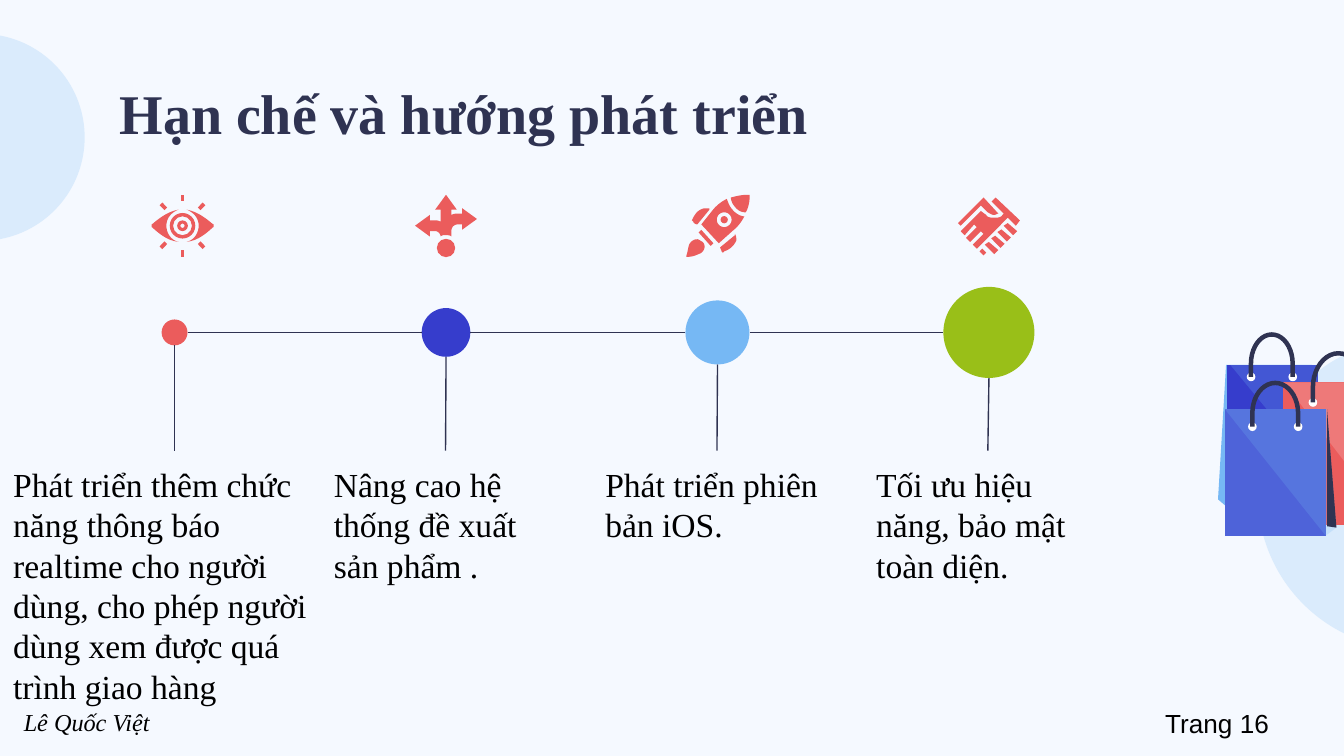
import pptx
import pptx.util
import pptx.dml.color
import pptx.enum.shapes
import pptx.enum.text
import pptx.oxml.ns
from lxml import etree
from pptx.util import Cm, Pt

COLORS = {
    "background": "F5F9FF", "ink": "2F3352", "black": "000000", "white": "FFFFFF",
    "red": "EB5C5C", "blue": "363DCC", "sky": "76B8F4", "green": "99BF18", "violet": "4E63D9",
}
SERIF, SANS = "Times New Roman", "Arial"
SHAPE = pptx.enum.shapes.MSO_SHAPE

ICON_UNITS = 46   # icons are drawn on a 46 x 46 grid
BAG_UNITS = 140   # the bags are drawn on a grid 140 wide


def rgb(name):
    return pptx.dml.color.RGBColor.from_string(COLORS[name])


def paint(shape, color, opacity=100):
    shape.shadow.inherit = False
    shape.line.fill.background()
    shape.fill.solid()
    shape.fill.fore_color.rgb = rgb(color)
    if opacity < 100:
        srgb = shape.fill._xPr.find(".//" + pptx.oxml.ns.qn("a:srgbClr"))
        etree.SubElement(srgb, pptx.oxml.ns.qn("a:alpha"), val=str(opacity * 1000))


def write(shape, text, size, font=SERIF, color="black", bold=False, italic=False, inset=0.25):
    frame = shape.text_frame
    frame.text = text
    frame.word_wrap = True
    frame.auto_size = pptx.enum.text.MSO_AUTO_SIZE.NONE
    frame.vertical_anchor = pptx.enum.text.MSO_ANCHOR.TOP
    frame.margin_left = frame.margin_right = Cm(0.25)
    frame.margin_top = frame.margin_bottom = Cm(inset)
    frame.paragraphs[0].alignment = pptx.enum.text.PP_ALIGN.LEFT
    style = frame.paragraphs[0].runs[0].font
    style.name, style.size, style.bold, style.italic = font, Pt(size), bold, italic
    style.color.rgb = rgb(color)


def add_line(shapes, x1, y1, x2, y2):
    line = shapes.add_connector(pptx.enum.shapes.MSO_CONNECTOR.STRAIGHT, Cm(x1), Cm(y1), Cm(x2), Cm(y2))
    line.line.color.rgb = rgb("ink")
    line.line.width = Pt(0.75)
    etree.SubElement(line._element.spPr, pptx.oxml.ns.qn("a:effectLst"))


class Canvas:
    """Draws in grid units inside a box whose left, top and width are in cm."""

    def __init__(self, shapes, left, top, width, units):
        self.shapes, self.left, self.top = shapes, Cm(left), Cm(top)
        self.unit = Cm(width) / units

    def place(self, x, y):
        return round(self.left + x * self.unit), round(self.top + y * self.unit)

    def trace(self, contour):
        """Pairs are corners; six numbers are a Bezier curve from the last point."""
        points = []
        for step in contour:
            if len(step) == 2:
                points.append(step)
                continue
            (x0, y0), (x1, y1, x2, y2, x3, y3) = points[-1], step
            for t in (k / 10 for k in range(1, 11)):
                a, b, c, d = (1 - t) ** 3, 3 * t * (1 - t) ** 2, 3 * t * t * (1 - t), t ** 3
                points.append((a * x0 + b * x1 + c * x2 + d * x3, a * y0 + b * y1 + c * y2 + d * y3))
        return [self.place(*point) for point in points]

    def outline(self, *contours, close=True):
        traces = [self.trace(contour) for contour in contours]
        builder = self.shapes.build_freeform(*traces[0][0], scale=1.0)
        for number, points in enumerate(traces):
            if number:
                builder.move_to(*points[0])
            builder.add_line_segments(points[1:], close=close)
        return builder.convert_to_shape()

    def area(self, color, *contours, opacity=100):
        paint(self.outline(*contours), color, opacity)

    def stroke(self, color, width, contour):
        shape = self.outline(contour, close=False)
        shape.shadow.inherit = False
        shape.fill.background()
        shape.line.color.rgb = rgb(color)
        shape.line.width = Pt(width)

    def disc(self, color, x, y, radius, hole=0):
        size = round(2 * radius * self.unit)
        kind = SHAPE.DONUT if hole else SHAPE.OVAL
        shape = self.shapes.add_shape(kind, *self.place(x - radius, y - radius), size, size)
        if hole:
            shape.adjustments[0] = (radius - hole) / (2 * radius)
        paint(shape, color)


def mirror(contour, axis):
    return [tuple(ICON_UNITS - v if k % 2 == axis else v for k, v in enumerate(step)) for step in contour]


def circle(x, y, r):
    k = 0.55 * r
    return [(x, y - r), (x + k, y - r, x + r, y - k, x + r, y), (x + r, y + k, x + k, y + r, x, y + r),
            (x - k, y + r, x - r, y + k, x - r, y), (x - r, y - k, x - k, y - r, x, y - r)]


def draw_eye(canvas):
    canvas.disc("red", 23, 23, 9.5, hole=7)
    canvas.disc("red", 23, 23, 4, hole=1.6)
    lid = [(20, 11), (9, 13, 1, 22, 0, 22), (0, 24), (1, 24, 9, 34, 20, 35),
           (15, 34, 11, 29, 11, 23), (11, 17, 15, 13, 20, 11)]
    bar = [(21.6, 0), (21.6, 5), (24.4, 5), (24.4, 0)]
    ray = [(8, 5.7), (6, 7.7), (9.6, 11.4), (11.6, 9.4)]
    for part in (lid, mirror(lid, 0), bar, mirror(bar, 1)):
        canvas.area("red", part)
    for part in (ray, mirror(ray, 0)):
        canvas.area("red", part)
        canvas.area("red", mirror(part, 1))


def draw_arrows(canvas):
    canvas.disc("red", 23, 39.5, 6.8)
    canvas.area("red", [
        (23, 0), (15, 11), (19, 11), (19, 20), (17, 19, 16, 19, 15, 19), (11, 19), (11, 15), (0, 23),
        (11, 31), (11, 27), (15, 27), (17, 27, 19, 29, 19, 31), (20, 30, 21, 30, 23, 30),
        (24, 30, 26, 30, 27, 31), (27, 27), (27, 24, 29, 22, 32, 22), (35, 22), (35, 26), (46, 18),
        (35, 10), (35, 14), (32, 14), (30, 14, 29, 14, 27, 15), (27, 11), (31, 11)])


def draw_rocket(canvas):
    flame = [(8, 33), (5, 33, 3, 35, 2, 37), (1, 40, 1, 42, 0, 45), (0, 46), (2, 46),
             (4, 46, 7, 45, 9, 44), (13, 43, 15, 38, 12, 35), (10, 34, 9, 33, 8, 33)]
    base = [(11, 26), (9, 28), (18, 38), (20, 36)]
    nose = [(45, 0), (41, 0, 37, 1, 33, 2), (33, 5, 35, 8, 37, 10), (39, 12, 41, 13, 44, 13),
            (46, 10, 47, 5, 47, 1), (47, 0)]
    body = [(30, 3), (26, 5, 22, 8, 19, 12), (11, 22), (24, 36), (34, 27), (38, 24, 41, 20, 43, 16),
            (40, 16, 37, 14, 35, 12), (32, 9, 31, 6, 30, 3)]
    lower_fin = [(36, 29), (36, 30), (25, 39), (25, 40, 26, 41, 26, 42), (27, 43), (28, 42),
                 (34, 40, 36, 36, 37, 34), (37, 32, 37, 31, 36, 29)]
    upper_fin = [(13, 10), (10, 11, 7, 12, 4, 19), (5, 20), (5, 21, 7, 22, 8, 22), (17, 11), (17, 10)]
    for part in (flame, base, nose, lower_fin, upper_fin):
        canvas.area("red", part)
    canvas.area("red", body, circle(28, 18.5, 5.5))
    canvas.disc("red", 28, 18.5, 2.7)


def draw_handshake(canvas):
    for k in range(4):
        shift = 4.67 * k
        canvas.area("red", [(x - shift, y + shift) for x, y in ((37, 21), (34, 23), (41, 30), (44, 27))])
    canvas.area("red", [
        (28, 2), (25, 5), (34, 14), (33, 15), (32, 17, 29, 17, 27, 17), (25, 17, 22, 17, 21, 15),
        (17, 12), (2, 27), (5, 30), (12, 22), (14, 24), (6, 32), (9, 35), (17, 27), (19, 29),
        (11, 37), (14, 40), (37, 17), (43, 23), (46, 19)])
    canvas.area("red", [(19, 2), (0, 21), (2, 23), (17, 8), (22, 13), (24, 14, 25, 15, 27, 15),
                        (28, 15, 29, 14, 30, 14)])
    canvas.area("red", [(18, 40), (16, 42), (19, 45), (21, 43)])


def draw_bag(canvas, front, color, shine, shine_color, opacity, handle, eyelets):
    left, top, right, bottom = front
    canvas.area(color, [(left, top), (left, bottom), (right, bottom), (right, top)])
    canvas.area(shine_color, shine, opacity=opacity)
    start, peak, end, foot, shoulder = handle
    for x in eyelets:
        canvas.disc("white", x, foot, 3.2)
    middle, bend = (start + end) / 2, 0.45 * (shoulder - peak)
    reach = 0.55 * (end - start) / 2
    canvas.stroke("ink", 2.4, [
        (start, foot), (start, shoulder), (start, peak + bend, middle - reach, peak, middle, peak),
        (middle + reach, peak, end, peak + bend, end, shoulder), (end, foot)])


def draw_bags(shapes, left, top, width):
    canvas = Canvas(shapes, left, top, width, BAG_UNITS)
    canvas.area("sky", [(6, 24), (0, 124), (7, 130), (70, 124), (70, 24)])
    draw_bag(canvas, (7, 24, 74, 130), "blue", [(9, 24), (74, 103), (74, 24)], "sky", 21,
             (24.5, 1.5, 55.5, 33, 23), (24.5, 55.5))
    draw_bag(canvas, (48, 37, 131, 143), "red", [(49, 37), (130, 143), (131, 143), (140, 136), (131, 37)],
             "white", 18, (70.5, 15.5, 108.5, 52, 41), (70.5,))
    draw_bag(canvas, (5, 57, 80, 151), "violet", [(5, 57), (80, 151), (88, 145), (81, 57)], "sky", 21,
             (25.5, 37.5, 59.5, 70, 60), (25.5, 59.5))
    canvas.area("ink", [(81, 57), (81, 144), (88, 145)])


def draw_timeline(shapes, left, axis, pitch):
    text_top, icon_top, icon_size = 8.51, 3.68, 1.17
    # node diameter, node colour, icon, icon offset, text left, text width, text height, text
    steps = [
        (0.49, "red", draw_eye, 0.15, 0, 6.6, 4.8,
         "Phát triển thêm chức năng thông báo realtime cho người dùng, "
         "cho phép người dùng xem được quá trình giao hàng"),
        (0.92, "blue", draw_arrows, 0, 6.06, 4.72, 1.98, "Nâng cao hệ thống đề xuất sản phẩm ."),
        (1.21, "sky", draw_rocket, 0, 11.19, 4.72, 1.98, "Phát triển phiên bản iOS."),
        (1.72, "green", draw_handshake, 0, 16.31, 4.72, 1.98, "Tối ưu hiệu năng, bảo mật toàn diện."),
    ]
    previous_edge = None
    for number, (size, color, draw_icon, offset, text_left, width, height, text) in enumerate(steps):
        center, radius = left + number * pitch, size / 2
        node = shapes.add_shape(SHAPE.OVAL, Cm(center - radius), Cm(axis - radius), Cm(size), Cm(size))
        paint(node, color)
        if previous_edge is not None:
            add_line(shapes, previous_edge, axis, center - radius, axis)
        previous_edge = center + radius
        add_line(shapes, center, axis + radius, text_left + width / 2, text_top)
        write(shapes.add_textbox(Cm(text_left), Cm(text_top), Cm(width), Cm(height)), text, 18)
        draw_icon(Canvas(shapes, center + offset - icon_size / 2, icon_top, icon_size, ICON_UNITS))


def draw_backdrop(shapes):
    for left, top, size in ((23.77, 6.4, 5.87), (-2.31, 0.64, 3.91)):
        paint(shapes.add_shape(SHAPE.OVAL, Cm(left), Cm(top), Cm(size), Cm(size)), "sky", 21)


def draw_footer(shapes, top):
    write(shapes.add_textbox(Cm(21.77), Cm(top), Cm(3.05), Cm(0.86)), "Trang 16", 14, font=SANS, inset=0.13)
    write(shapes.add_textbox(Cm(0.2), Cm(top), Cm(5.05), Cm(0.81)), "Lê Quốc Việt", 13, italic=True, inset=0.13)


def main():
    presentation = pptx.Presentation()
    presentation.slide_width, presentation.slide_height = Cm(25.4), Cm(14.28)
    slide = presentation.slides.add_slide(presentation.slide_layouts[5])
    slide.background.fill.solid()
    slide.background.fill.fore_color.rgb = rgb("background")
    draw_backdrop(slide.shapes)
    draw_footer(slide.shapes, 13.23)
    # Title
    title = slide.shapes.title
    title.left, title.top, title.width, title.height = Cm(2.01), Cm(1.24), Cm(21.41), Cm(1.6)
    write(title, "Hạn chế và hướng phát triển", 30, color="ink", bold=True)
    draw_timeline(slide.shapes, 3.3, 6.28, 5.13)
    draw_bags(slide.shapes, 23.02, 6.28, 3.56)
    presentation.save("out.pptx")


if __name__ == "__main__":
    main()
